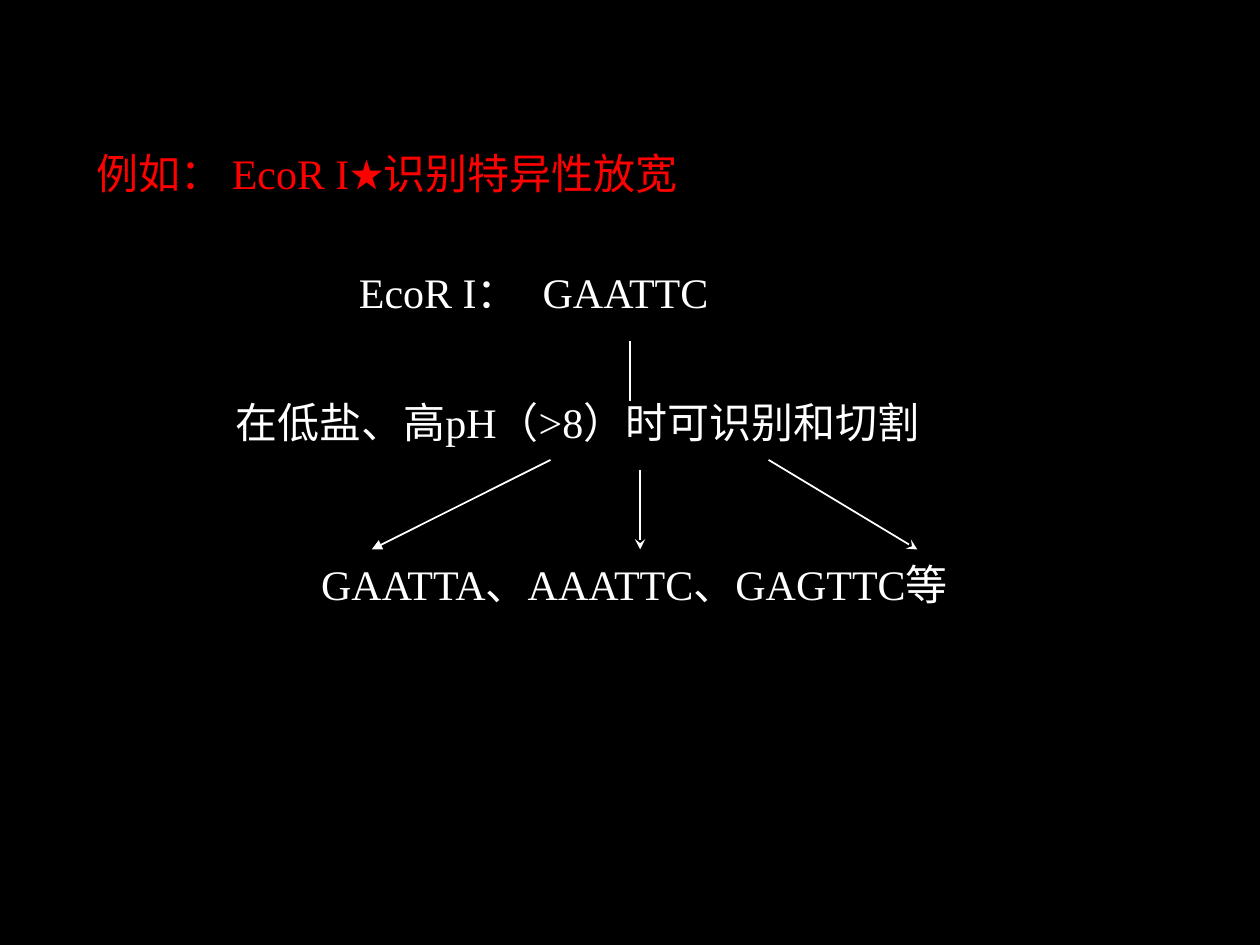
import dataclasses
from typing import Optional

import lxml.etree
import pptx
import pptx.dml.color
import pptx.enum.shapes
import pptx.enum.text
import pptx.oxml.ns
import pptx.util

Pt = pptx.util.Pt
RGB = pptx.dml.color.RGBColor
qn = pptx.oxml.ns.qn


@dataclasses.dataclass(frozen=True)
class Theme:
    back: RGB = RGB(0, 0, 0)
    ink: RGB = RGB(255, 255, 255)
    accent: RGB = RGB(255, 0, 0)
    font: str = "Times New Roman"
    size: float = 24
    line: float = 1


@dataclasses.dataclass(frozen=True)
class Label:
    text: str
    left: float
    top: float
    width: float
    color: RGB
    wrap: bool = False


@dataclasses.dataclass(frozen=True)
class Arrow:
    start: tuple[float, float]
    end: tuple[float, float]
    tip: Optional[str] = None


THEME = Theme()
HEIGHT = 36  # height of every one-line label
SITE_TOP = 149  # shared by the enzyme name and its site
TIP_TOP = 314  # where all three arrows end

LABELS = [
    Label("例如： EcoR I★识别特异性放宽", 48, 80.6, 391, THEME.accent, True),
    Label("EcoR I：", 198, SITE_TOP, 111.6, THEME.ink),
    Label("GAATTC", 303, SITE_TOP, 111.6, THEME.ink),
    Label("在低盐、高pH（>8）时可识别和切割", 127.4, 223.2, 550, THEME.ink, True),
    Label("GAATTA、AAATTC、GAGTTC等", 176.4, 315.4, 409, THEME.ink),
]

ARROWS = [
    Arrow((360, 195), (360, 229)),
    Arrow((314.6, 262.8), (212.4, TIP_TOP), "triangle"),
    Arrow((365.8, 268.6), (365.8, TIP_TOP), "stealth"),
    Arrow((439.2, 262.8), (524.2, TIP_TOP), "stealth"),
]


def draw_label(slide, label: Label) -> None:
    box = slide.shapes.add_textbox(
        Pt(label.left), Pt(label.top), Pt(label.width), Pt(HEIGHT))
    frame = box.text_frame
    frame.word_wrap = label.wrap
    frame.auto_size = pptx.enum.text.MSO_AUTO_SIZE.SHAPE_TO_FIT_TEXT
    para = frame.paragraphs[0]
    para.text = label.text
    para.font.name = THEME.font
    para.font.size = Pt(THEME.size)
    para.font.color.rgb = label.color


def draw_arrow(slide, arrow: Arrow) -> None:
    ends = [Pt(value) for value in arrow.start + arrow.end]
    link = slide.shapes.add_connector(
        pptx.enum.shapes.MSO_CONNECTOR.STRAIGHT, *ends)
    link.line.color.rgb = THEME.ink
    link.line.width = Pt(THEME.line)
    props = link._element.spPr
    if arrow.tip:
        lxml.etree.SubElement(
            props.find(qn("a:ln")), qn("a:tailEnd"), type=arrow.tip)
    lxml.etree.SubElement(props, qn("a:effectLst"))


def main() -> None:
    deck = pptx.Presentation()
    deck.slide_width, deck.slide_height = Pt(720), Pt(540)
    slide = deck.slides.add_slide(deck.slide_layouts[6])

    # Background
    fill = slide.background.fill
    fill.solid()
    fill.fore_color.rgb = THEME.back

    # Wording, then the lines between the steps
    for label in LABELS:
        draw_label(slide, label)
    for arrow in ARROWS:
        draw_arrow(slide, arrow)

    deck.save("out.pptx")


if __name__ == "__main__":
    main()
